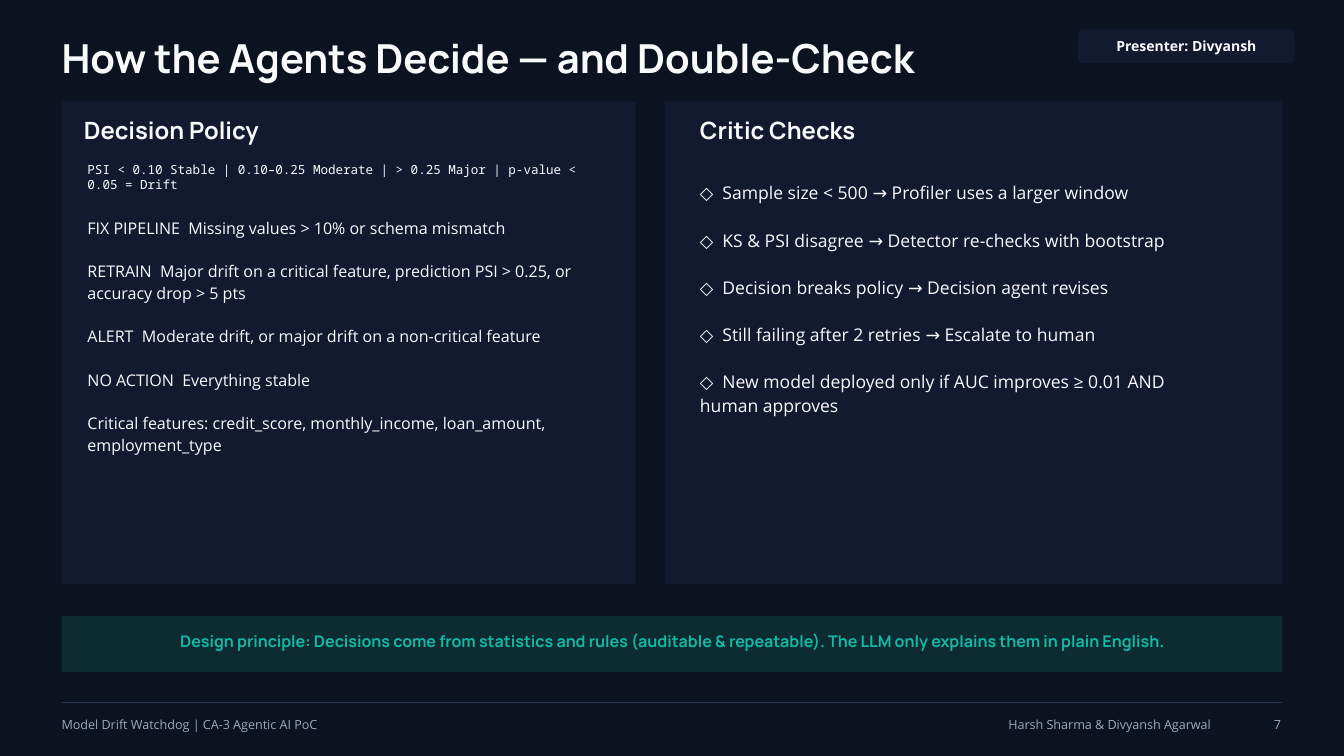
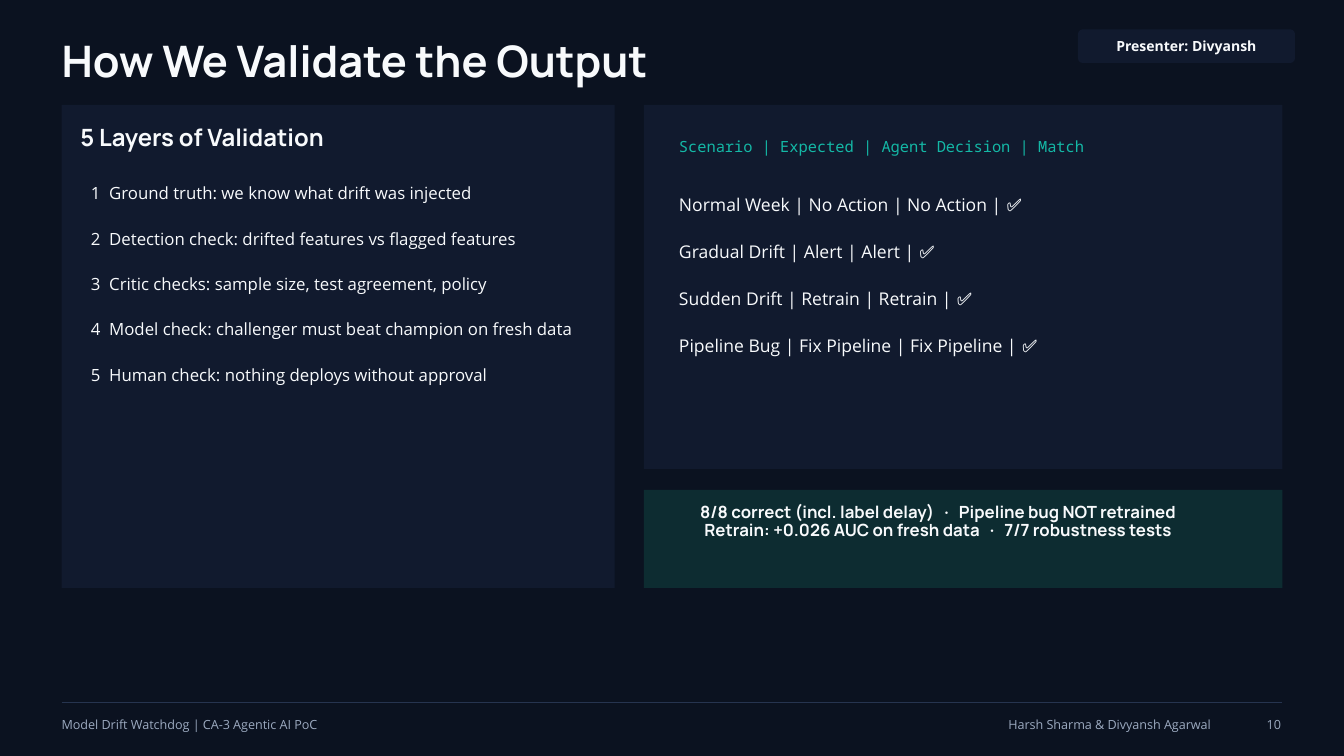
from lxml.etree import SubElement
from pptx import Presentation
from pptx.dml.color import RGBColor
from pptx.enum.shapes import MSO_CONNECTOR, MSO_SHAPE
from pptx.enum.text import MSO_ANCHOR, PP_ALIGN
from pptx.oxml.ns import qn
from pptx.util import Emu, Pt

NAVY = RGBColor(0x0B, 0x12, 0x20)
PANEL = RGBColor(0x11, 0x1A, 0x2E)
BANNER = RGBColor(0x0D, 0x2C, 0x31)
WHITE = RGBColor(0xF8, 0xFA, 0xFC)
TEAL = RGBColor(0x14, 0xB8, 0xA6)
RULE = RGBColor(0x26, 0x34, 0x4F)
MUTED = RGBColor(0x9C, 0xAA, 0xC0)

HEADING_FONT = "Manrope"
BODY_FONT = "Open Sans"
MONO_FONT = "Noto Sans Mono"

LEFT, RIGHT = 88, 1832
WIDTH = RIGHT - LEFT


def px(length):
    """Turn px into EMU at 96 px to the inch."""
    return Emu(length * 9525)


class Deck:
    """Hold the shared style and the current slide."""

    def __init__(self):
        """Open an empty deck of 1920 by 1080 px."""
        self.presentation = Presentation()
        self.presentation.slide_width = px(1920)
        self.presentation.slide_height = px(1080)
        self.slide = None

    def start_slide(self, title, top, size, leading, number):
        """Add a slide with its title, presenter tag and footer."""
        self.slide = self.presentation.slides.add_slide(self.presentation.slide_layouts[6])
        self.slide.background.fill.solid()
        self.slide.background.fill.fore_color.rgb = NAVY
        self.text(LEFT, top, 1450, 68, [title], size, leading, HEADING_FONT, bold=True)
        self.presenter("Presenter: Divyansh")
        self.footer(number)

    def fill_paragraphs(self, frame, lines, size, leading, font, color=WHITE,
                        bold=False, align=PP_ALIGN.LEFT, gap=0, tab=0):
        """Write one styled paragraph for each line."""
        for index, line in enumerate(lines):
            paragraph = frame.add_paragraph() if index else frame.paragraphs[0]
            paragraph.text = line
            paragraph.alignment = align
            if tab:
                properties = paragraph._p.get_or_add_pPr()
                tabs = SubElement(properties, qn("a:tabLst"))
                SubElement(tabs, qn("a:tab"), pos=str(px(tab)), algn="l")
            paragraph.line_spacing = Pt(leading)
            paragraph.space_before = Pt(gap if index else 0)
            paragraph.font.name = font
            paragraph.font.size = Pt(size)
            paragraph.font.bold = bold
            paragraph.font.color.rgb = color

    def text(self, left, top, width, height, lines, size, leading, font, **style):
        """Add a wrapping text box without margins."""
        box = self.slide.shapes.add_textbox(px(left), px(top), px(width), px(height))
        frame = box.text_frame
        frame.word_wrap = True
        frame.margin_left = frame.margin_top = frame.margin_right = frame.margin_bottom = 0
        self.fill_paragraphs(frame, lines, size, leading, font, **style)

    def heading(self, left, top, line):
        """Add a panel heading."""
        self.text(left, top, 650, 39, [line], 25.5, 26.8, HEADING_FONT, bold=True)

    def body(self, left, top, width, height, lines, size, leading, tab=0):
        """Add body paragraphs that are one blank line apart."""
        self.text(left, top, width, height, lines, size, leading, BODY_FONT,
                  gap=leading, tab=tab)

    def panel(self, left, top, width, height, color=PANEL, kind=MSO_SHAPE.RECTANGLE):
        """Add a flat filled shape."""
        shape = self.slide.shapes.add_shape(kind, px(left), px(top), px(width), px(height))
        shape.shadow.inherit = False
        shape.fill.solid()
        shape.fill.fore_color.rgb = color
        shape.line.fill.background()
        return shape

    def presenter(self, line):
        """Add the rounded presenter tag at the top right."""
        tag = self.panel(1540, 42, 310, 48, kind=MSO_SHAPE.ROUNDED_RECTANGLE)
        tag.adjustments[0] = 0.14
        frame = tag.text_frame
        frame.vertical_anchor = MSO_ANCHOR.MIDDLE
        frame.margin_top, frame.margin_bottom = px(4), px(8)
        self.fill_paragraphs(frame, [line], 15, 21, BODY_FONT, bold=True,
                             align=PP_ALIGN.CENTER)

    def footer(self, number):
        """Add the footer rule, its texts and the page number."""
        rule = self.slide.shapes.add_connector(
            MSO_CONNECTOR.STRAIGHT, px(LEFT), px(1004), px(RIGHT), px(1004))
        rule.line.color.rgb = RULE
        rule.line.width = Pt(0.75)
        SubElement(rule._element.spPr, qn("a:effectLst"))
        for left, width, line, align in (
            (LEFT, 650, "Model Drift Watchdog | CA-3 Agentic AI PoC", PP_ALIGN.LEFT),
            (1250, 480, "Harsh Sharma & Divyansh Agarwal", PP_ALIGN.RIGHT),
            (1770, 60, str(number), PP_ALIGN.RIGHT),
        ):
            self.text(left, 1021, width, 24, [line], 13.5, 18.2, BODY_FONT,
                      color=MUTED, align=align)


def add_decision_slide(deck):
    """Build the slide on decision policy and critic checks."""
    deck.start_slide("How the Agents Decide — and Double-Check", 57, 42.8, 44.9, 7)

    deck.panel(LEFT, 145, 820, 690)
    deck.heading(120, 171, "Decision Policy")
    deck.text(125, 230, 730, 43,
              ["PSI < 0.10 Stable | 0.10–0.25 Moderate | > 0.25 Major | p-value < 0.05 = Drift"],
              13.5, 16.9, MONO_FONT)
    deck.body(125, 308, 720, 339, [
        "FIX PIPELINE  Missing values > 10% or schema mismatch",
        "RETRAIN  Major drift on a critical feature, prediction PSI > 0.25, or accuracy drop > 5 pts",
        "ALERT  Moderate drift, or major drift on a non-critical feature",
        "NO ACTION  Everything stable",
        "Critical features: credit_score, monthly_income, loan_amount, employment_type",
    ], 17.2, 23.3)

    deck.panel(950, 145, RIGHT - 950, 690)
    deck.heading(1000, 171, "Critic Checks")
    checks = [
        "Sample size < 500 → Profiler uses a larger window",
        "KS & PSI disagree → Detector re-checks with bootstrap",
        "Decision breaks policy → Decision agent revises",
        "Still failing after 2 retries → Escalate to human",
        "New model deployed only if AUC improves ≥ 0.01 AND human approves",
    ]
    deck.body(1000, 257, 700, 328, [f"◇\t{check}" for check in checks], 18.8, 25.3, tab=32)

    deck.panel(LEFT, 880, WIDTH, 80, BANNER)
    deck.text(150, 905, 1620, 27,
              ["Design principle: Decisions come from statistics and rules (auditable & repeatable). "
               "The LLM only explains them in plain English."],
              17.2, 18.1, HEADING_FONT, color=TEAL, bold=True, align=PP_ALIGN.CENTER)


def add_validation_slide(deck):
    """Build the slide on validation layers and scenario results."""
    deck.start_slide("How We Validate the Output", 58, 46.5, 48.8, 10)

    deck.panel(LEFT, 150, 790, 690)
    deck.heading(115, 180, "5 Layers of Validation")
    layers = [
        "Ground truth: we know what drift was injected",
        "Detection check: drifted features vs flagged features",
        "Critic checks: sample size, test agreement, policy",
        "Model check: challenger must beat champion on fresh data",
        "Human check: nothing deploys without approval",
    ]
    deck.body(130, 258, 690, 286,
              [f"{number}\t{layer}" for number, layer in enumerate(layers, 1)],
              18, 24.3, tab=26)

    deck.panel(920, 150, RIGHT - 920, 520)
    deck.text(970, 195, 780, 26, ["Scenario | Expected | Agent Decision | Match"],
              16.5, 20.6, MONO_FONT, color=TEAL)
    scenarios = [
        ("Normal Week", "No Action"),
        ("Gradual Drift", "Alert"),
        ("Sudden Drift", "Retrain"),
        ("Pipeline Bug", "Fix Pipeline"),
    ]
    deck.body(970, 273, 780, 229,
              [f"{scenario} | {action} | {action} | ✅" for scenario, action in scenarios],
              18.8, 25.3)

    deck.panel(920, 700, RIGHT - 920, 140, BANNER)
    deck.text(900, 721, 880, 53, [
        "8/8 correct (incl. label delay)   ·   Pipeline bug NOT retrained",
        "Retrain: +0.026 AUC on fresh data   ·   7/7 robustness tests",
    ], 18, 18.9, HEADING_FONT, bold=True, align=PP_ALIGN.CENTER)


def main():
    """Build both slides and save the deck."""
    deck = Deck()
    add_decision_slide(deck)
    add_validation_slide(deck)
    deck.presentation.save("out.pptx")


if __name__ == "__main__":
    main()
